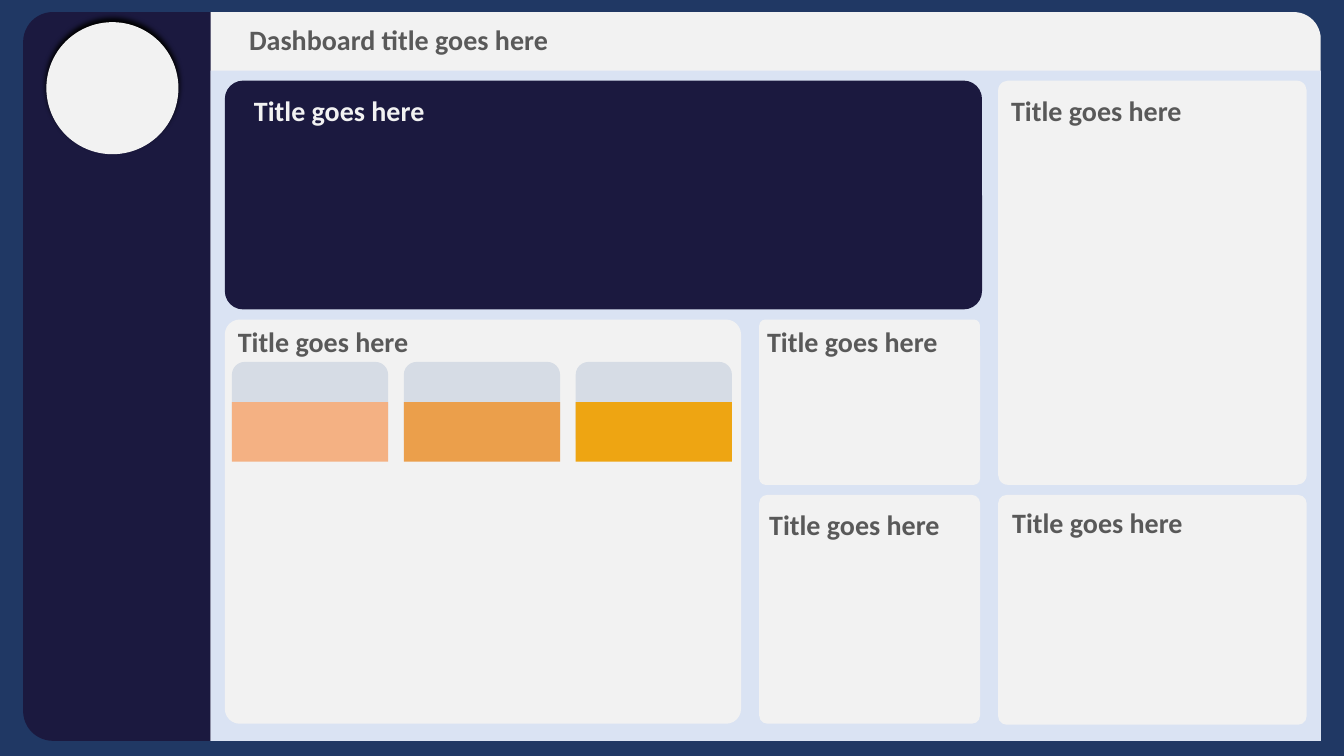
from lxml import etree
from pptx import Presentation
from pptx.dml.color import RGBColor
from pptx.enum import shapes, text
from pptx.oxml import ns
from pptx.util import Inches, Pt

BLUE = RGBColor(0x20, 0x38, 0x64)
NAVY = RGBColor(0x1B, 0x19, 0x3F)
PALE_BLUE = RGBColor(0xDA, 0xE3, 0xF3)
LIGHT = RGBColor(0xF2, 0xF2, 0xF2)
GREY_BLUE = RGBColor(0xD6, 0xDC, 0xE5)
DARK_GREY = RGBColor(0x59, 0x59, 0x59)
CARD_COLORS = [RGBColor(0xF4, 0xB1, 0x83), RGBColor(0xEB, 0x9F, 0x4B),
               RGBColor(0xEE, 0xA5, 0x12)]

# Left, top, width, height, corner, fill; then the heading's left, top, colour
PANELS = [
    ((2.23, 0.8, 7.51, 2.27), 0.08, NAVY, (2.42, 0.88), LIGHT),
    ((9.9, 0.8, 3.06, 4.01), 0.032, LIGHT, (9.93, 0.88), DARK_GREY),
    ((9.9, 4.91, 3.06, 2.28), 0.037, LIGHT, (9.94, 4.97), DARK_GREY),
    ((2.23, 3.17, 5.12, 4.01), 0.037, LIGHT, (2.26, 3.17), DARK_GREY),
    ((7.53, 3.17, 2.19, 1.64), 0.037, LIGHT, (7.51, 3.17), DARK_GREY),
    ((7.53, 4.91, 2.19, 2.27), 0.037, LIGHT, (7.53, 4.99), DARK_GREY),
]


def add_filled(parent, kind, box, fill):
    """Add a preset shape with a plain fill, no line and no shadow."""
    s = parent.add_shape(kind, *map(Inches, box))
    s.fill.solid()
    s.fill.fore_color.rgb = fill
    s.line.fill.background()
    s.shadow.inherit = False
    return s


def add_panel(parent, box, corner, fill):
    """Add a rounded rectangle with the given corner ratio."""
    s = add_filled(parent, shapes.MSO_SHAPE.ROUNDED_RECTANGLE, box, fill)
    s.adjustments[0] = corner
    return s


def add_shadow(s, blur, distance, degrees):
    """Give a shape a solid black outer shadow."""
    effects = s._element.spPr.find(ns.qn("a:effectLst"))
    shadow = etree.SubElement(
        effects, ns.qn("a:outerShdw"), blurRad=str(Pt(blur)),
        dist=str(Pt(distance)), dir=str(degrees * 60000), rotWithShape="0")
    etree.SubElement(shadow, ns.qn("a:srgbClr"), val="000000")


def set_heading(s, words, color):
    """Write bold left-aligned heading text into a shape."""
    tf = s.text_frame
    tf.text = words
    tf.word_wrap = True
    tf.auto_size = text.MSO_AUTO_SIZE.SHAPE_TO_FIT_TEXT
    tf.vertical_anchor = text.MSO_ANCHOR.TOP
    p = tf.paragraphs[0]
    p.alignment = text.PP_ALIGN.LEFT
    font = p.runs[0].font
    font.name, font.size, font.bold = "Calibri", Pt(20), True
    font.color.rgb = color


def add_frame(slide):
    """Draw the header, the sidebar, the work area and the round badge."""
    group = slide.shapes.add_group_shape().shapes
    add_panel(group, (1.77, 0.12, 11.33, 7.23), 0.037, LIGHT)
    add_panel(group, (0.23, 0.12, 1.77, 7.23), 0.167, NAVY)
    add_panel(group, (1.12, 0.12, 0.97, 7.23), 0, NAVY)
    add_panel(slide.shapes, (2.09, 0.7, 11.01, 6.65), 0, PALE_BLUE)
    badge = add_filled(slide.shapes, shapes.MSO_SHAPE.OVAL,
                       (0.46, 0.22, 1.31, 1.31), LIGHT)
    add_shadow(badge, 4, 3, 270)


def add_card(slide, left, color):
    """Draw a card with a rounded top and a coloured body."""
    group = slide.shapes.add_group_shape().shapes
    add_panel(group, (left, 3.59, 1.55, 0.89), 0.143, GREY_BLUE)
    add_panel(group, (left, 3.99, 1.55, 0.59), 0, color)


def place_title(slide, words):
    """Put the slide title over the header bar."""
    title = slide.shapes.title
    title.left, title.top = Inches(2.37), Inches(0.17)
    title.width, title.height = Inches(3.34), Inches(0.44)
    set_heading(title, words, DARK_GREY)
    title._element.getparent().append(title._element)  # bring to front


def main():
    """Build the dashboard slide."""
    prs = Presentation()
    prs.slide_width, prs.slide_height = Inches(13.33), Inches(7.5)
    slide = prs.slides.add_slide(prs.slide_layouts[5])
    slide.background.fill.solid()
    slide.background.fill.fore_color.rgb = BLUE

    add_frame(slide)
    for box, corner, fill, _, _ in PANELS:
        add_panel(slide.shapes, box, corner, fill)
    for i, color in enumerate(CARD_COLORS):
        add_card(slide, 2.3 + 1.705 * i, color)
    for _, _, _, (left, top), color in PANELS:
        s = slide.shapes.add_textbox(Inches(left), Inches(top),
                                     Inches(2.42), Inches(0.44))
        set_heading(s, "Title goes here", color)
    place_title(slide, "Dashboard title goes here")
    prs.save("out.pptx")


main()
